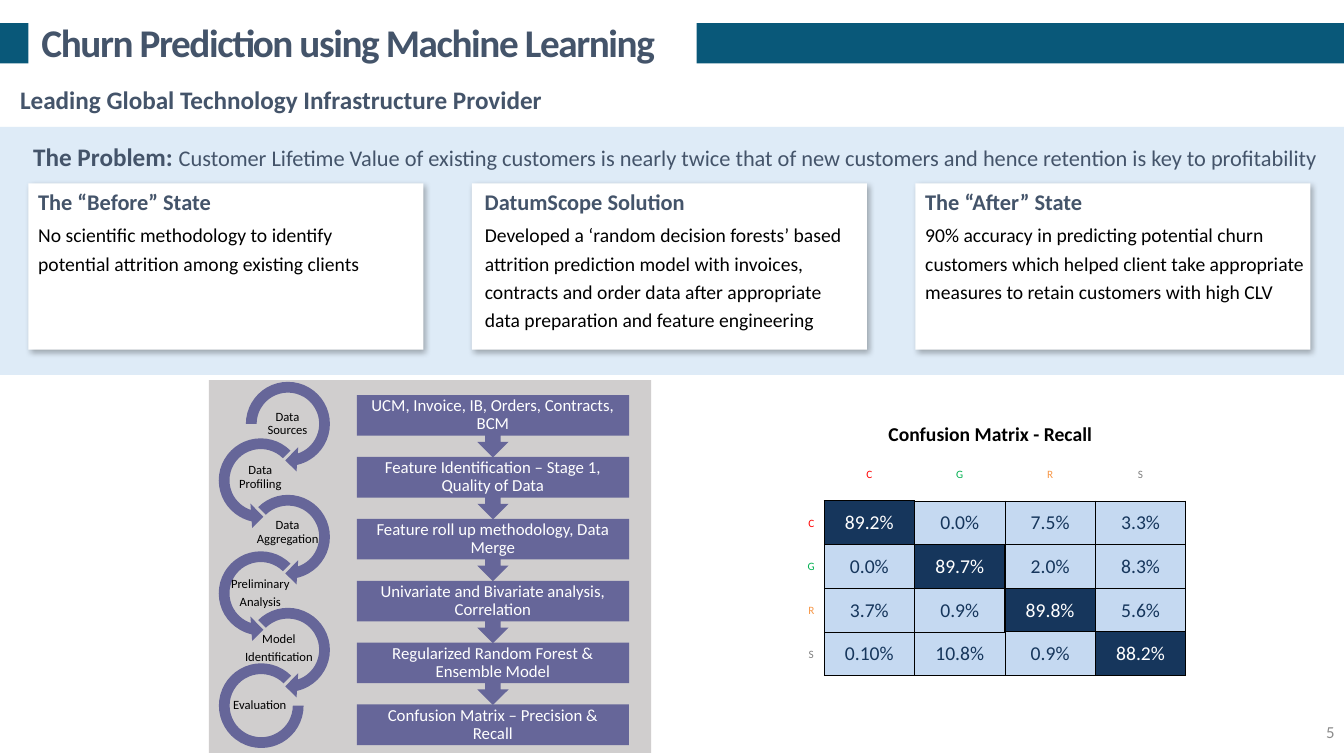
import pptx
import pptx.util
import pptx.dml.color
import pptx.enum.shapes
import pptx.enum.text
import pptx.oxml
import pptx.oxml.ns

Pt = pptx.util.Pt
KIND = pptx.enum.shapes.MSO_SHAPE
MID = pptx.enum.text.MSO_ANCHOR.MIDDLE
ALIGN = pptx.enum.text.PP_ALIGN
NS = 'xmlns:a="http://schemas.openxmlformats.org/drawingml/2006/main"'

SLATE, BLACK, WHITE, PLUM = "44546A", "000000", "FFFFFF", "666699"
NAVY, PALE = "16365C", "C5D9F1"
DENSE = {"alignment": ALIGN.CENTER, "line_spacing": 0.9}
SIDES = {"L": (0, -1), "R": (0, 1), "T": (-1, 0), "B": (1, 0)}

CARDS = [
    ("The “Before” State", 0, 275.8,
     "No scientific methodology to identify potential attrition among existing clients"),
    ("DatumScope Solution", 2.2, 282.2,
     "Developed a ‘random decision forests’ based attrition prediction model with invoices, "
     "contracts and order data after appropriate data preparation and feature engineering"),
    ("The “After” State", 0, 287.3,
     "90% accuracy in predicting potential churn customers which helped client take "
     "appropriate measures to retain customers with high CLV"),
]
STAGES = [
    (["Data Sources"], (36.7, 21.6, 38.9, 19.4)),
    (["Data Profiling"], (17.3, 59.8, 38.9, 19.4)),
    (["Data Aggregation"], (24.5, 105.1, 63.4, 7.2)),
    (["Preliminary", "Analysis"], (-1.4, 150.5, 76.3, 3.6)),
    (["Model", "Identification"], (11.5, 185.8, 77, 12.2)),
    (["Evaluation"], (4.3, 220.3, 64.1, 24.5)),
]
STEPS = [
    "UCM, Invoice, IB, Orders, Contracts, BCM",
    "Feature Identification – Stage 1, Quality of Data",
    "Feature roll up methodology, Data Merge",
    "Univariate and Bivariate analysis, Correlation",
    "Regularized Random Forest & Ensemble Model",
    "Confusion Matrix – Precision & Recall",
]
CLASSES = {"C": "FF0000", "G": "00B050", "R": "F79646", "S": "7F7F7F"}
RATES = [
    ["89.2%", "0.0%", "7.5%", "3.3%"],
    ["0.0%", "89.7%", "2.0%", "8.3%"],
    ["3.7%", "0.9%", "89.8%", "5.6%"],
    ["0.10%", "10.8%", "0.9%", "88.2%"],
]


def tint(text):
    return pptx.dml.color.RGBColor.from_string(text)


def apply(item, values):
    for key, value in values.items():
        setattr(item, key, value)


def pad(size):
    return {"margin_" + side: Pt(size) for side in ("left", "top", "right", "bottom")}


def add_run(para, text, size, hue, bold=False):
    run = para.add_run()
    run.text = text
    apply(run.font, {"name": "Calibri", "size": Pt(size), "bold": bold})
    run.font.color.rgb = tint(hue)


def write(frame, lines, size, hue, bold=False, look={}, form={}):
    apply(frame, {"word_wrap": True, **form})
    for i, line in enumerate(lines):
        para = frame.paragraphs[0] if i == 0 else frame.add_paragraph()
        apply(para, look)
        add_run(para, line, size, hue, bold)
    return para


def label(tree, box, lines, size, hue, bold=False, look={}, form={}):
    area = tree.add_textbox(*map(Pt, box))
    return write(area.text_frame, lines, size, hue, bold, look, form)


def block(tree, box, hue, kind=KIND.RECTANGLE, bends=()):
    shape = tree.add_shape(kind, *map(Pt, box))
    shape.shadow.inherit = False
    shape.fill.solid()
    shape.fill.fore_color.rgb = tint(hue)
    shape.line.fill.background()
    for i, bend in enumerate(bends):
        shape.adjustments[i] = bend
    return shape


def shade(shape):
    glow = pptx.oxml.parse_xml(
        f'<a:outerShdw {NS} blurRad="{Pt(4.5)}" dist="{Pt(2.6)}" dir="{53 * 60000}" '
        'algn="tl" rotWithShape="0"><a:srgbClr val="000000"><a:alpha val="30000"/>'
        '</a:srgbClr></a:outerShdw>')
    shape.element.spPr.find(pptx.oxml.ns.qn("a:effectLst")).append(glow)


def header(slide, box):
    x, y, w, h = box
    bar = block(slide.shapes, (x, y + 16.6, w, 28.8), "095879")
    title = slide.shapes.title
    bar.element.addnext(title.element)
    apply(title, {"left": Pt(x + 20.2), "top": Pt(y + 8.6), "width": Pt(477.4), "height": Pt(43.2)})
    title.fill.solid()
    title.fill.fore_color.rgb = tint(WHITE)
    form = {**pad(5), "margin_left": Pt(9.4), "margin_right": Pt(9.4), "vertical_anchor": MID,
            "auto_size": pptx.enum.text.MSO_AUTO_SIZE.NONE}
    write(title.text_frame, ["Churn Prediction using Machine Learning"], 28, SLATE, True,
          {"alignment": ALIGN.LEFT, "line_spacing": 1.0}, form)
    for mark in title.element.iter(pptx.oxml.ns.qn("a:rPr")):
        mark.set("spc", "-100")
    label(slide.shapes, (x + 7.2, y + 47.5, 466.6, 47.5),
          ["Leading Global Technology Infrastructure Provider"], 18, SLATE, True,
          form={"vertical_anchor": MID})


def problem(slide, box):
    x, y, w, h = box
    tree = slide.shapes
    block(tree, box, "DEEBF7")
    para = label(tree, (x + 16.6, y - 2.2, 943.9, 46.1), ["The Problem: "], 18, SLATE, True,
                 form={"vertical_anchor": MID})
    add_run(para, "Customer Lifetime Value of existing customers is nearly twice that of new "
            "customers and hence retention is key to profitability", 16, SLATE)
    for i, (head, shift, wide, text) in enumerate(CARDS):
        left, top = x + 20.2 + i * 316.8, y + 40.3
        shade(block(tree, (left, top, 282.2, 118.8), WHITE))
        label(tree, (left + shift, top + 21.6, wide, 88), [text], 14, BLACK,
              look={"line_spacing": 1.2})
        label(tree, (left + shift, top, 199.4, 26.6), [head], 16, SLATE, True)


def cycle(slide, box):
    x, y, w, h = box
    tree = slide.shapes.add_group_shape().shapes
    for i, (lines, (dx, dy, wide, high)) in enumerate(STAGES):
        if i == len(STAGES) - 1:
            block(tree, (x + 7.2, y + 202.3, 60.5, 60.5), PLUM, KIND.BLOCK_ARC, (0, 189, 0.127))
        elif i % 2:
            block(tree, (x + 2.2, y - 3.6 + i * 40.35, 69.8, 69.8), PLUM,
                  KIND.LEFT_CIRCULAR_ARROW, (0.11, 11.423, 63, 189, 0.125))
        else:
            block(tree, (x + 21.6, y - 3.6 + i * 40.35, 69.8, 69.8), PLUM,
                  KIND.CIRCULAR_ARROW, (0.11, 11.423, 45, 135 if i else 108, 0.125))
        label(tree, (x + dx, y + dy, wide, high), lines, 9, BLACK,
              look={**DENSE, "space_after": Pt(3.15)}, form={**pad(0.9), "vertical_anchor": MID})


def flow(slide, box):
    x, y, w, h = box
    tree = slide.shapes.add_group_shape().shapes
    for i in reversed(range(len(STEPS))):
        top = y + i * 44.2
        if i == len(STEPS) - 1:
            block(tree, (x, top, w, 29), PLUM)
        else:
            block(tree, (x, top, w, 44.6), PLUM, KIND.UP_ARROW_CALLOUT).rotation = 180
        label(tree, (x, top, w, 29), [STEPS[i]], 12, WHITE, look=DENSE,
              form={**pad(6.7), "vertical_anchor": MID})


def edge(cell, row, col):
    props = cell._tc.get_or_add_tcPr()
    for side, (down, over) in SIDES.items():
        pair = [(r, c) for r, c in ((row, col), (row + down, col + over))
                if 1 <= r <= 4 and 1 <= c <= 4]
        width = Pt(1 if any(r == c for r, c in pair) else 0.5)
        fill = f'<a:solidFill><a:srgbClr val="{BLACK}"/></a:solidFill>' if pair else "<a:noFill/>"
        props.append(pptx.oxml.parse_xml(f'<a:ln{side} {NS} w="{width}">{fill}</a:ln{side}>'))


def matrix(slide, box):
    x, y, w, h = box
    label(slide.shapes, (x, y, w, 24.5), ["Confusion Matrix - Recall"], 14, BLACK, True,
          {"alignment": ALIGN.CENTER})
    grid = slide.shapes.add_table(5, 5, Pt(x + 9.4), Pt(y + 21.6), Pt(276.8), Pt(163)).table
    apply(grid, {"first_row": False, "horz_banding": False})
    names = list(CLASSES)
    for i in range(5):
        grid.columns[i].width = Pt(64.6 if i else 18.4)
        grid.rows[i].height = Pt(31.2 if i else 38.2)
    for row in range(5):
        for col in range(5):
            cell = grid.cell(row, col)
            edge(cell, row, col)
            apply(cell, {**pad(0.7), "margin_bottom": 0, "vertical_anchor": MID})
            if row and col:
                cell.fill.solid()
                cell.fill.fore_color.rgb = tint(NAVY if row == col else PALE)
                text, size, hue = RATES[row - 1][col - 1], 14, WHITE if row == col else NAVY
            else:
                cell.fill.background()
                if row == col:
                    continue
                text = names[max(row, col) - 1]
                size, hue = 8, CLASSES[text]
            write(cell.text_frame, [text], size, hue, look={"alignment": ALIGN.CENTER})


def main():
    deck = pptx.Presentation()
    apply(deck, {"slide_width": Pt(960), "slide_height": Pt(540)})
    slide = deck.slides.add_slide(deck.slide_layouts[5])
    header(slide, (0, 0, 960, 90))
    problem(slide, (0, 90.7, 960, 177.1))
    block(slide.shapes, (149.2, 271.5, 316, 266.4), "D0CECE")
    cycle(slide, (149.2, 271.5, 95, 266.4))
    flow(slide, (254.9, 282.2, 194.4, 250))
    matrix(slide, (560.9, 298, 293, 185))
    label(slide.shapes, (744.5, 511.9, 216, 28.8), ["5"], 12, "8C8C8C",
          look={"alignment": ALIGN.RIGHT})
    deck.save("out.pptx")


if __name__ == "__main__":
    main()
